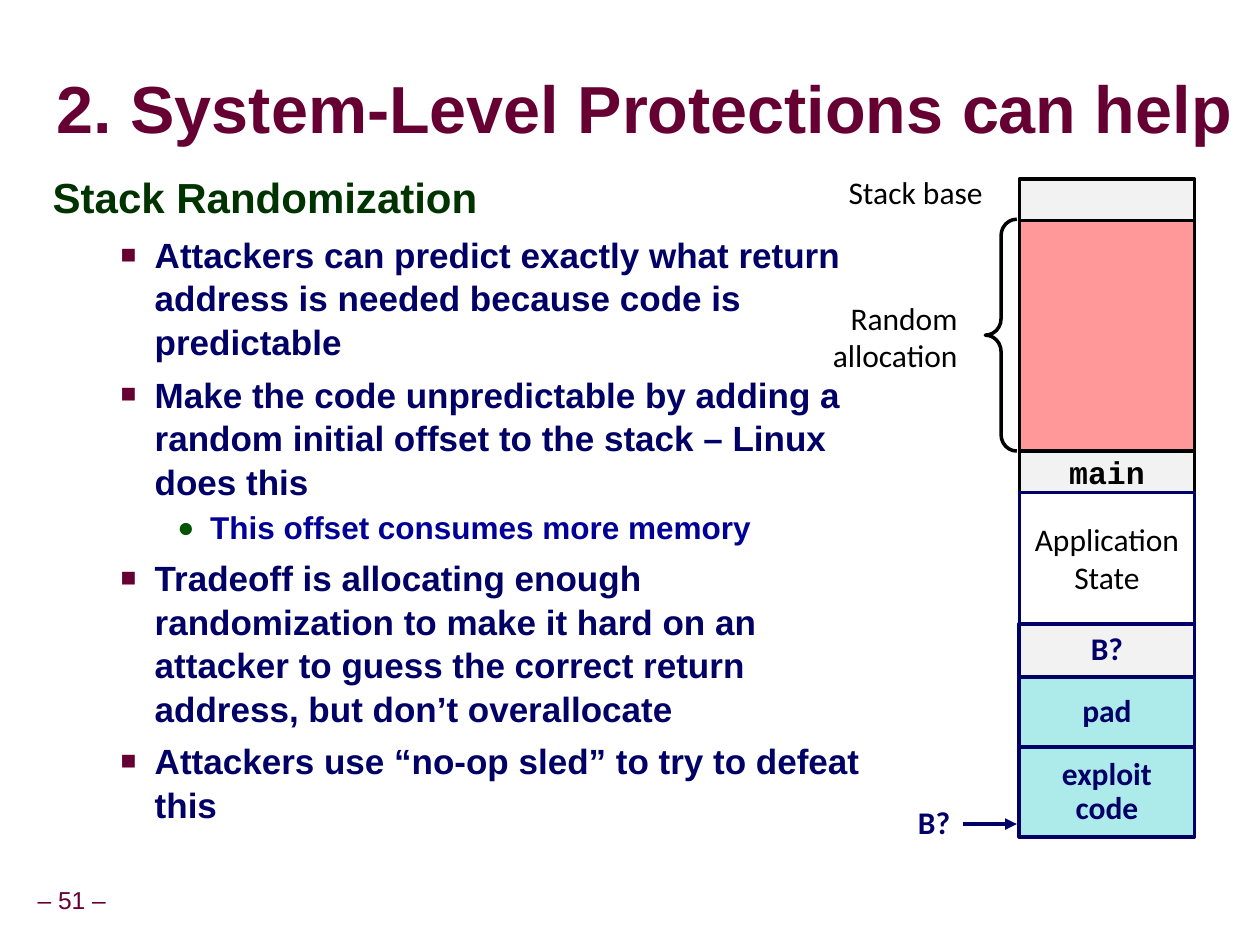
"""Build the slide on stack randomization, with its stack diagram."""
from lxml.etree import SubElement as Sub
from pptx import Presentation
from pptx.dml.color import RGBColor as Rgb
from pptx.enum.shapes import MSO_CONNECTOR as Conn, MSO_SHAPE as Kind
from pptx.enum.text import MSO_ANCHOR as Anchor, PP_ALIGN as Align
from pptx.oxml.ns import qn
from pptx.util import Inches, Pt

WIDE, HIGH = 10, 7.5
THEME = {
    "plum": "660033", "green": "003300", "leaf": "005400", "navy": "000066",
    "blue": "000099", "black": "000000", "white": "FFFFFF", "grey": "F2F2F2",
    "pink": "FF9999", "aqua": "ADEBEB",
    "title": 38, "head": 24, "item": 20, "note": 18, "label": 18, "page": 14,
}

TITLE = "2. System-Level Protections can help"
PAGE = "– 51 –"
BODY = [
    ("head", "Stack Randomization"),
    ("item", "Attackers can predict exactly what return address is needed "
             "because code is predictable"),
    ("item", "Make the code unpredictable by adding a random initial offset "
             "to the stack – Linux does this"),
    ("note", "This offset consumes more memory"),
    ("item", "Tradeoff is allocating enough randomization to make it hard on "
             "an attacker to guess the correct return address, but don’t "
             "overallocate"),
    ("item", "Attackers use “no-op sled” to try to defeat this"),
]
LEVELS = {
    "head": dict(tint="green", lead=0.95, gap=0, left=0.42, hang=0.42),
    "item": dict(tint="navy", lead=1.04, gap=5, left=0.81, hang=0.27,
                 mark=("■", "plum", 75)),
    "note": dict(tint="blue", lead=1.07, gap=2, left=1.25, hang=0.26,
                 mark=("●", "leaf", 90)),
}
PLAIN = dict(tint="black", face="Calibri")
BOLD = dict(tint="navy", face="Calibri", bold=True, lead=0.9)
CODE = dict(tint="black", face="Courier New", bold=True)
STACK = [
    (0.33, "grey", "black", 2, [], PLAIN),
    (1.83, "pink", "black", 2, [], PLAIN),
    (0.33, "grey", "black", 2, ["main"], CODE),
    (1.04, "white", "navy", 2, ["Application", "State"], PLAIN),
    (0.42, "grey", "navy", 2.25, ["B?"], BOLD),
    (0.56, "aqua", "navy", 2.25, ["pad"], BOLD),
    (0.71, "aqua", "navy", 2.25, ["exploit", "code"], BOLD),
]
LEFT, TOP, COL = 8.09, 1.42, 1.39
LABELS = [
    ((6.68, 1.33, 1.16, 0.39), 0.04, ["Stack base"], PLAIN),
    ((6.54, 2.33, 1.1, 0.69), 0.04, ["Random", "allocation"], PLAIN),
    ((7.18, 6.34, 0.46, 0.4), 0.1, ["B?"], BOLD),
]


def tone(name):
    return Rgb.from_string(THEME[name])


def frame(shape, pad, wrap=True, anchor=Anchor.MIDDLE):
    text = shape.text_frame
    form = dict(word_wrap=wrap, vertical_anchor=anchor,
                margin_left=Inches(pad), margin_right=Inches(pad),
                margin_top=Inches(min(pad, 0.05)),
                margin_bottom=Inches(min(pad, 0.05)))
    for key, val in form.items():
        setattr(text, key, val)
    return text


def style(para, text, size, tint, face="Arial", bold=False, lead=1.0,
          gap=0, align=Align.LEFT):
    para.text = text
    for key, val in dict(alignment=align, line_spacing=lead,
                         space_before=Pt(gap)).items():
        setattr(para, key, val)
    font = para.runs[0].font
    for key, val in dict(name=face, size=Pt(THEME[size]), bold=bold).items():
        setattr(font, key, val)
    font.color.rgb = tone(tint)


def write(text, lines, size, **form):
    for num, line in enumerate(lines):
        para = text.paragraphs[0] if num == 0 else text.add_paragraph()
        style(para, line, size, **form)


def box(slide, spot, pad, **form):
    shape = slide.shapes.add_textbox(*map(Inches, spot))
    return shape, frame(shape, pad, **form)


def indent(para, left, hang, mark=None):
    props = para._p.get_or_add_pPr()
    props.set("marL", str(Inches(left)))
    props.set("indent", str(-Inches(hang)))
    if mark:
        char, tint, size = mark
        hue = Sub(props, qn("a:buClr"))
        Sub(hue, qn("a:srgbClr"), val=THEME[tint])
        Sub(props, qn("a:buSzPct"), val=str(size * 1000))
        Sub(props, qn("a:buFont"), typeface="Arial")
        Sub(props, qn("a:buChar"), char=char)


def shade(run):
    props = run._r.get_or_add_rPr()
    list_ = props.makeelement(qn("a:effectLst"), {})
    props.find(qn("a:solidFill")).addnext(list_)
    cast = Sub(list_, qn("a:outerShdw"), blurRad="38100", dist="38100",
               dir="2700000", algn="tl")
    hue = Sub(cast, qn("a:srgbClr"), val=THEME["black"])
    Sub(hue, qn("a:alpha"), val="43000")


def prose(slide):
    text = box(slide, (0.24, 7, 0.66, 0.31), 0.05, wrap=False)[1]
    write(text, [PAGE], "page", tint="plum", lead=0.9, align=Align.CENTER)
    text = box(slide, (0.45, 0.48, 9.55, 0.83), 0)[1]
    write(text, [TITLE], "title", tint="plum", bold=True, lead=0.87)
    shade(text.paragraphs[0].runs[0])
    text = box(slide, (0.32, 1.34, 6.77, 5.71), 0.1, anchor=Anchor.TOP)[1]
    for num, (level, line) in enumerate(BODY):
        para = text.paragraphs[0] if num == 0 else text.add_paragraph()
        form = dict(LEVELS[level])
        place = {key: form.pop(key) for key in ("left", "hang", "mark")
                 if key in form}
        style(para, line, level, bold=True, **form)
        indent(para, **place)


def stack(slide):
    top = TOP
    for high, fill, edge, width, lines, form in STACK:
        cell = slide.shapes.add_shape(
            Kind.RECTANGLE, *map(Inches, (LEFT, top, COL, high)))
        cell.shadow.inherit = False
        cell.fill.solid()
        cell.fill.fore_color.rgb = tone(fill)
        cell.line.color.rgb = tone(edge)
        cell.line.width = Pt(width)
        write(frame(cell, 0), lines, "label", align=Align.CENTER, **form)
        top += high


def notes(slide):
    brace = slide.shapes.add_shape(
        Kind.LEFT_BRACE, *map(Inches, (7.82, TOP + 0.32, 0.25, 1.84)))
    brace.shadow.inherit = False
    brace.adjustments[0] = 0.52
    brace.fill.background()
    brace.line.color.rgb = tone("black")
    brace.line.width = Pt(2)
    for spot, pad, lines, form in LABELS:
        label, text = box(slide, spot, pad, wrap=False,
                          anchor=Anchor.MIDDLE if form is BOLD else Anchor.TOP)
        write(text, lines, "label", align=Align.RIGHT, **form)
    arrow = slide.shapes.add_connector(
        Conn.STRAIGHT, *map(Inches, (7.64, 6.54, 8.07, 6.54)))
    arrow.begin_connect(label, 3)
    arrow.line.color.rgb = tone("navy")
    arrow.line.width = Pt(2.25)
    Sub(arrow.line._get_or_add_ln(), qn("a:tailEnd"), type="triangle")
    Sub(arrow._element.spPr, qn("a:effectLst"))


def main():
    deck = Presentation()
    deck.slide_width, deck.slide_height = Inches(WIDE), Inches(HIGH)
    slide = deck.slides.add_slide(deck.slide_layouts[6])
    for part in (prose, stack, notes):
        part(slide)
    deck.save("out.pptx")


if __name__ == "__main__":
    main()
